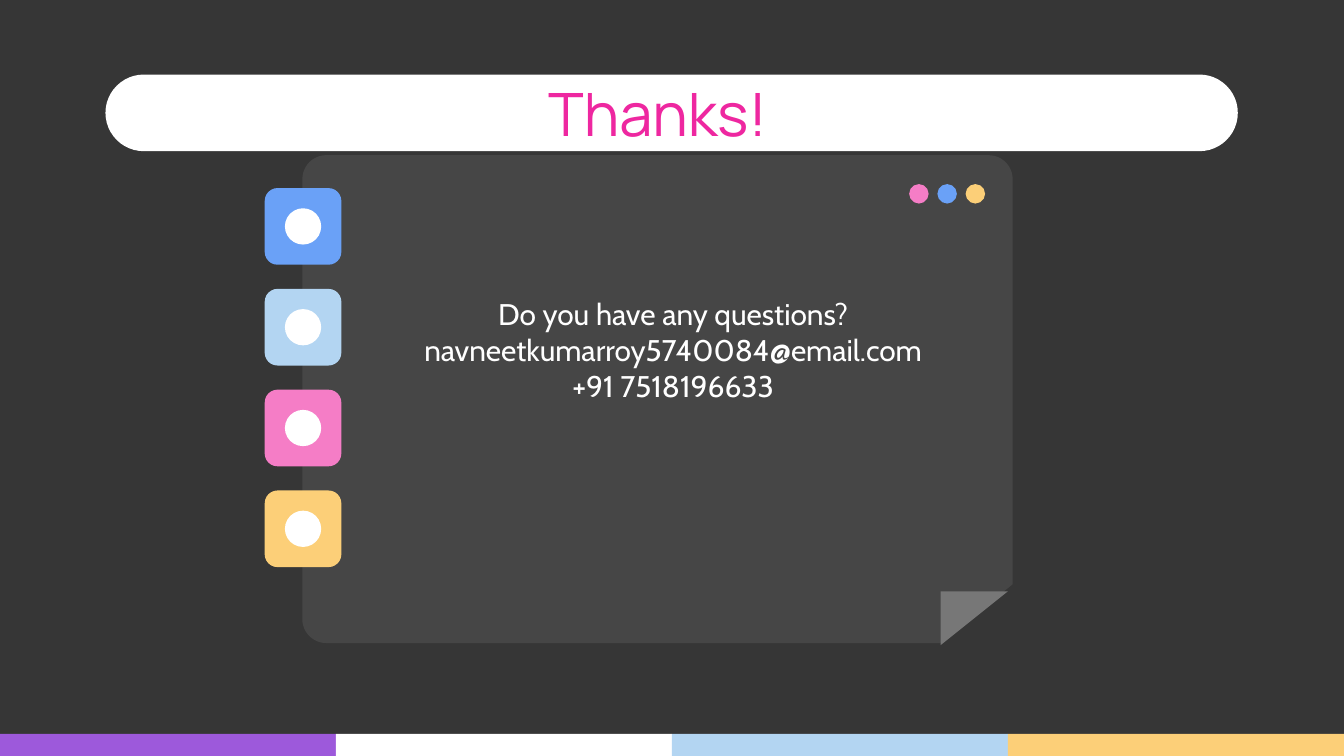
from dataclasses import dataclass
from math import cos, pi, sin

from pptx import Presentation
from pptx import util as u
from pptx.dml.color import RGBColor
from pptx.enum import shapes, text

DARK = RGBColor(0x36, 0x36, 0x36)
PANEL = RGBColor(0x46, 0x46, 0x46)
GREY = RGBColor(0x77, 0x77, 0x77)
WHITE = RGBColor(0xFF, 0xFF, 0xFF)
VIOLET = RGBColor(0x9D, 0x59, 0xDB)
SKY = RGBColor(0xB3, 0xD5, 0xF2)
BLUE = RGBColor(0x6A, 0xA1, 0xF7)
AMBER = RGBColor(0xFC, 0xCF, 0x78)
PINK = RGBColor(0xF5, 0x7D, 0xC6)
ROSE = RGBColor(0xEE, 0x27, 0xA0)

COLS, ROWS = 100, 56.25  # square grid cells
CELL = u.Inches(0.1)
KIND = shapes.MSO_SHAPE
ALIGN = text.PP_ALIGN


@dataclass(frozen=True)
class Box:
    """An area in grid columns and rows."""
    x: float
    y: float
    w: float
    h: float

    def emu(self) -> tuple:
        return tuple(u.Emu(round(n * CELL)) for n in (self.x, self.y, self.w, self.h))


def paint(shape, fill: RGBColor):
    shape.shadow.inherit = False
    shape.fill.solid()
    shape.fill.fore_color.rgb = fill
    shape.line.fill.background()
    return shape


def draw(slide, kind, box: Box, fill: RGBColor, curve: float | None = None):
    shape = paint(slide.shapes.add_shape(kind, *box.emu()), fill)
    if curve is not None:
        shape.adjustments[0] = curve
    return shape


def write(slide, box: Box, lines: list[str], *, font: str, size: float,
          color: RGBColor, inset: float = 0.05, anchor=text.MSO_ANCHOR.TOP) -> None:
    frame = slide.shapes.add_textbox(*box.emu()).text_frame
    frame.word_wrap = True
    frame.vertical_anchor = anchor
    frame.margin_top = frame.margin_bottom = u.Inches(inset)
    for i, line in enumerate(lines):
        para = frame.paragraphs[0] if i == 0 else frame.add_paragraph()
        para.alignment = ALIGN.CENTER
        run = para.add_run()
        run.text = line
        run.font.name = font
        run.font.size = u.Pt(size)
        run.font.color.rgb = color


def fold(slide, box: Box, curve: float) -> None:
    """Draw the turned page corner: dark gap below, grey flap above."""
    gap = draw(slide, KIND.RIGHT_TRIANGLE, box, DARK)
    gap.line.color.rgb = DARK
    gap.line.width = u.Pt(0.75)
    gap._element.spPr.xfrm.set("flipH", "1")
    turns = [pi / 2 * i / 12 for i in range(13)]
    arc = [(box.x + curve * (1 - cos(a)), box.y + curve * (1 - sin(a))) for a in turns]
    path = slide.shapes.build_freeform(box.x, box.y + box.h, scale=CELL)
    path.add_line_segments(arc + [(box.x + box.w, box.y)])
    paint(path.convert_to_shape(), GREY)


def main() -> None:
    deck = Presentation()
    deck.slide_width, deck.slide_height = round(COLS * CELL), round(ROWS * CELL)
    slide = deck.slides.add_slide(deck.slide_layouts[6])
    back = slide.background.fill
    back.solid()
    back.fore_color.rgb = DARK

    strip = (VIOLET, WHITE, SKY, AMBER)
    wide = COLS / len(strip)
    for i, color in enumerate(strip):
        draw(slide, KIND.RECTANGLE, Box(i * wide, 54.6, wide, ROWS - 54.6), color)

    draw(slide, KIND.ROUNDED_RECTANGLE, Box(7.85, 5.55, 84.25, 5.7), WHITE, 0.5)
    draw(slide, KIND.ROUNDED_RECTANGLE, Box(22.5, 11.55, 52.85, 36.3), PANEL, 0.049)
    for i, color in enumerate((PINK, BLUE, AMBER)):
        draw(slide, KIND.OVAL, Box(67.65 + 2.1 * i, 13.7, 1.45, 1.45), color)
    fold(slide, Box(70.03, 43.53, 5.35, 4.33), 1.4)

    for i, color in enumerate((BLUE, SKY, PINK, AMBER)):
        top = 14 + 7.5 * i
        draw(slide, KIND.ROUNDED_RECTANGLE, Box(19.7, top, 5.7, 5.7), color, 0.167)
        draw(slide, KIND.OVAL, Box(21.2, top + 1.5, 2.7, 2.7), WHITE)

    write(slide, Box(37.3, 5.2, 23.3, 6.4), ["Thanks!"],
          font="Manrope", size=32, color=ROSE)
    write(slide, Box(30.1, 20, 40, 12),
          ["Do you have any questions?", "navneetkumarroy5740084@email.com",
           "+91 7518196633"],
          font="Cabin", size=16, color=WHITE, inset=0.1,
          anchor=text.MSO_ANCHOR.MIDDLE)

    deck.save("out.pptx")


if __name__ == "__main__":
    main()
